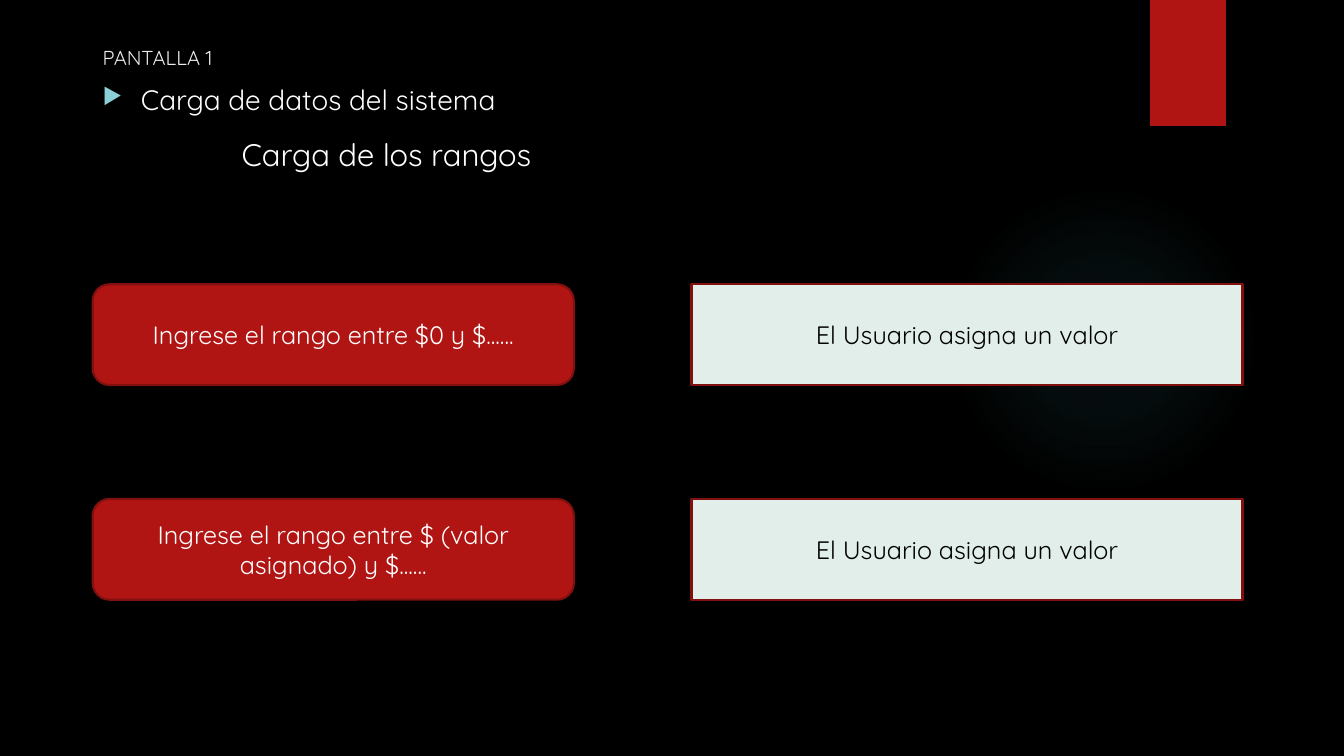
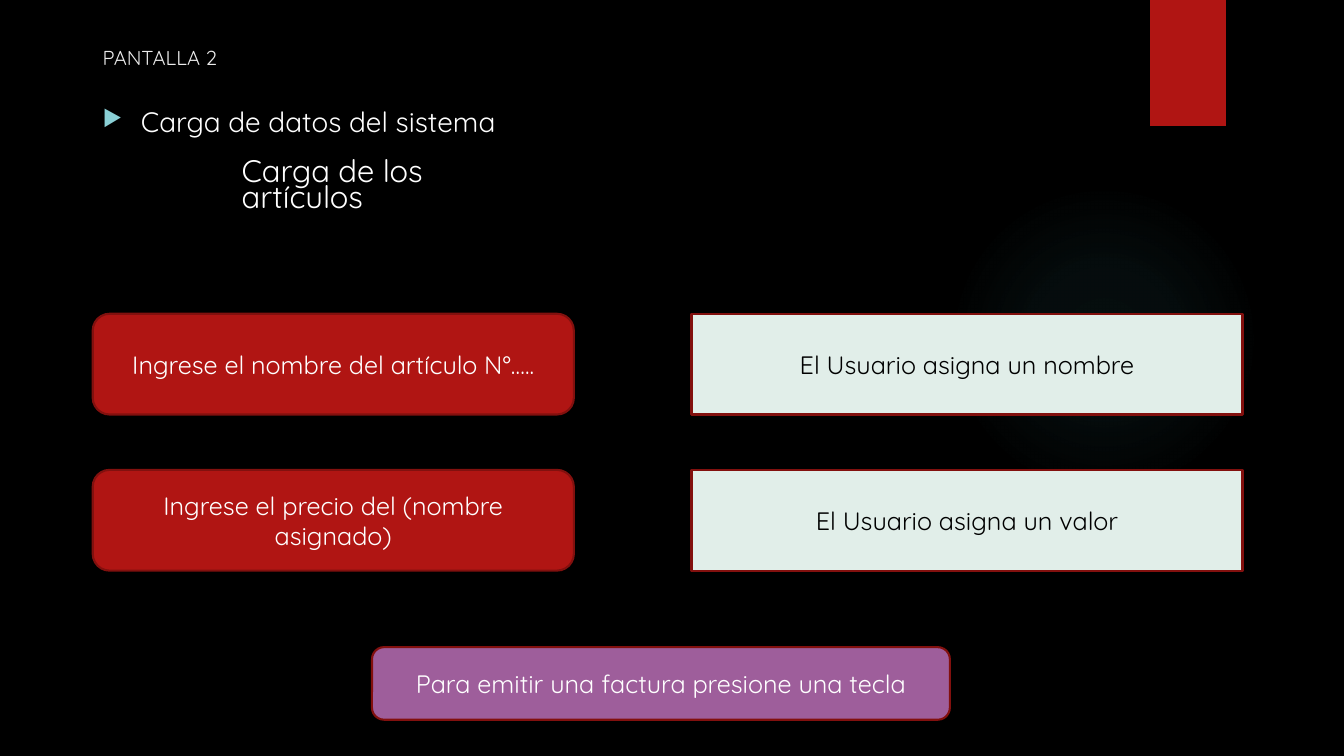
from dataclasses import dataclass

from lxml import etree
from pptx import Presentation
from pptx import util as u
from pptx.dml.color import RGBColor
from pptx.enum import shapes, text
from pptx.oxml import parse_xml
from pptx.oxml.ns import nsdecls, qn


@dataclass(frozen=True)
class Theme:
    font: str = "Quicksand"
    background: str = "000000"
    red: str = "B01513"
    outline: str = "82100E"
    mint: str = "E1EEE9"
    purple: str = "9E5E9B"
    glow: str = "50B9C1"
    bullet: str = "8AD0D6"
    title_color: str = "EBEBEB"
    light: str = "FFFFFF"
    dark: str = "000000"
    title_size: float = 14.4
    topic_size: float = 20
    subtitle_size: float = 22.2
    box_size: float = 18
    outline_width: float = 1.5


# Positions and sizes are percentages of the slide's width and height.
LEFT = 6.9
PROMPT_WIDTH = 35.8
ANSWER_LEFT, ANSWER_WIDTH = 51.45, 41
ROW_HEIGHT = 13.33
TEXT_HEIGHT = 8.27
GLOW_STOPS = ((0, 7), (36, 6), (69, 0))


class Deck:
    def __init__(self, theme):
        self.theme = theme
        self.presentation = Presentation()
        self.presentation.slide_width = u.Inches(13.333)
        self.presentation.slide_height = u.Inches(7.5)
        self.slide = None

    def area(self, left, top, width, height):
        """Turn percentages of the slide into lengths."""
        across = self.presentation.slide_width / 100
        down = self.presentation.slide_height / 100
        return [u.Emu(round(share * unit)) for share, unit in
                ((left, across), (top, down), (width, across), (height, down))]

    def new_slide(self):
        self.slide = self.presentation.slides.add_slide(self.presentation.slide_layouts[6])
        fill = self.slide.background.fill
        fill.solid()
        fill.fore_color.rgb = RGBColor.from_string(self.theme.background)
        self.glow(70.58, 24.4, 23.1, 41.07)
        self.shape((85.58, 0, 5.63, 16.67), self.theme.red)

    def shape(self, place, color, kind=shapes.MSO_SHAPE.RECTANGLE, outlined=False):
        shape = self.slide.shapes.add_shape(kind, *self.area(*place))
        shape.shadow.inherit = False
        shape.fill.solid()
        shape.fill.fore_color.rgb = RGBColor.from_string(color)
        if outlined:
            shape.line.color.rgb = RGBColor.from_string(self.theme.outline)
            shape.line.width = u.Pt(self.theme.outline_width)
        else:
            shape.line.fill.background()
        return shape

    def glow(self, *place):
        """Draw a circle that fades out from its centre."""
        shape = self.shape(place, self.theme.glow, shapes.MSO_SHAPE.OVAL)
        stops = "".join(
            f'<a:gs pos="{position * 1000}"><a:srgbClr val="{self.theme.glow}">'
            f'<a:alpha val="{alpha * 1000}"/></a:srgbClr></a:gs>'
            for position, alpha in GLOW_STOPS)
        gradient = parse_xml(
            f'<a:gradFill {nsdecls("a")} rotWithShape="1"><a:gsLst>{stops}</a:gsLst>'
            '<a:path path="circle"><a:fillToRect l="50000" t="50000" r="50000" b="50000"/>'
            '</a:path></a:gradFill>')
        properties = shape.element.spPr
        properties.replace(properties.find(qn("a:solidFill")), gradient)

    def set_text(self, shape, words, size, color, wrap=True,
                 anchor=text.MSO_ANCHOR.TOP, **paragraph_format):
        frame = shape.text_frame
        frame.word_wrap = wrap
        frame.vertical_anchor = anchor
        paragraph = frame.paragraphs[0]
        for name, value in paragraph_format.items():
            setattr(paragraph, name, value)
        run = paragraph.add_run()
        run.text = words
        for name, value in {"name": self.theme.font, "size": u.Pt(size)}.items():
            setattr(run.font, name, value)
        run.font.color.rgb = RGBColor.from_string(color)
        return paragraph

    def text_box(self, place, *content, **options):
        box = self.slide.shapes.add_textbox(*self.area(*place))
        return self.set_text(box, *content, **options)

    def title(self, words):
        self.text_box((LEFT, 5.33, 10.5, 4.93), words, self.theme.title_size,
                      self.theme.title_color, wrap=False)

    def topic(self, words, top):
        paragraph = self.text_box((LEFT, top, 35.55, TEXT_HEIGHT), words,
                                  self.theme.topic_size, self.theme.light)
        properties = paragraph._p.get_or_add_pPr()
        indent = u.Inches(0.38)
        properties.set("marL", str(indent))
        properties.set("indent", str(-indent))
        color = etree.SubElement(properties, qn("a:buClr"))
        etree.SubElement(color, qn("a:srgbClr"), val=self.theme.bullet)
        etree.SubElement(properties, qn("a:buSzPct"), val="80000")
        etree.SubElement(properties, qn("a:buChar"), char="▶")

    def subtitle(self, words, top, width, line_spacing):
        self.text_box((17.25, top, width, TEXT_HEIGHT), words, self.theme.subtitle_size,
                      self.theme.light, line_spacing=line_spacing)

    def box(self, words, place, fill, color, kind=shapes.MSO_SHAPE.ROUNDED_RECTANGLE):
        shape = self.shape(place, fill, kind, outlined=True)
        self.set_text(shape, words, self.theme.box_size, color,
                      anchor=text.MSO_ANCHOR.MIDDLE, alignment=text.PP_ALIGN.CENTER)

    def row(self, top, prompt, answer):
        """Place a prompt beside the user's answer."""
        self.box(prompt, (LEFT, top, PROMPT_WIDTH, ROW_HEIGHT),
                 self.theme.red, self.theme.light)
        self.box(answer, (ANSWER_LEFT, top, ANSWER_WIDTH, ROW_HEIGHT),
                 self.theme.mint, self.theme.dark, shapes.MSO_SHAPE.RECTANGLE)

    def screen(self, title, topic_top, subtitle, rows):
        self.new_slide()
        self.title(title)
        self.topic("Carga de datos del sistema", topic_top)
        self.subtitle(*subtitle)
        for row in rows:
            self.row(*row)


def main():
    deck = Deck(Theme())
    deck.screen("PANTALLA 1", 10.27, ("Carga de los rangos", 17.87, 25.2, 0.9), [
        (37.6, "Ingrese el rango entre $0 y $......", "El Usuario asigna un valor"),
        (66, "Ingrese el rango entre $ (valor asignado) y $......",
         "El Usuario asigna un valor"),
    ])
    deck.screen("PANTALLA 2", 13.2, ("Carga de los artículos", 20.67, 23.7, 0.7), [
        (41.5, "Ingrese el nombre del artículo N°…..", "El Usuario asigna un nombre"),
        (62.15, "Ingrese el precio del (nombre asignado)", "El Usuario asigna un valor"),
    ])
    deck.box("Para emitir una factura presione una tecla", (27.68, 85.6, 43, 9.6),
             deck.theme.purple, deck.theme.light)
    deck.presentation.save("out.pptx")


if __name__ == "__main__":
    main()
